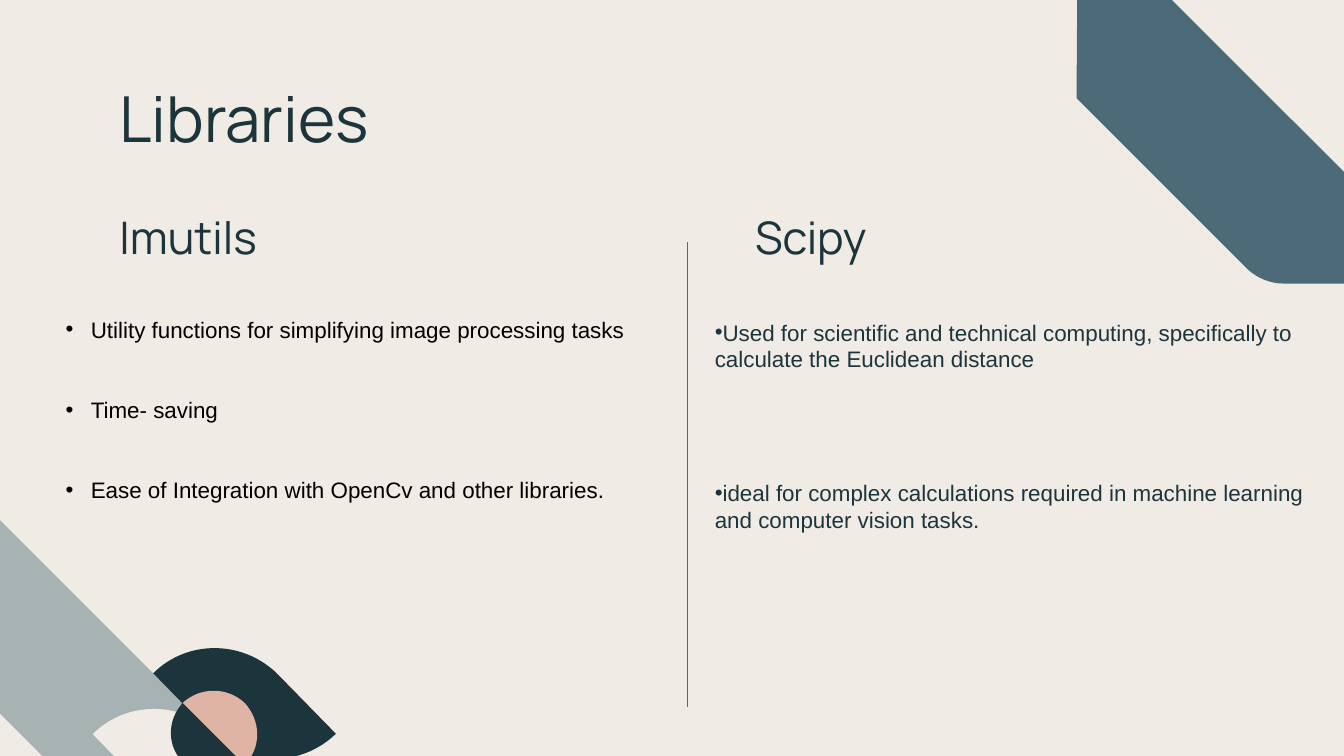
from dataclasses import dataclass

from lxml import etree
from pptx import Presentation
from pptx import util as u
from pptx.dml.color import RGBColor
from pptx.enum import shapes, text
from pptx.oxml.ns import qn

Pt = u.Pt
CREAM, NAVY, SLATE, SAGE, PINK, BLACK = (
    "F0EBE4", "1C343C", "4C6A78", "A7B3B2", "E0B4A4", "000000")

BAND = [(170.64, 449.28), (-0.72, 277.92), (-1.44, 380.88), (90.72, 473.04),
        (95.76, 477.36, 102.24, 480.24, 109.44, 480.24), (170.64, 480.24)]
PETAL = [(82.08, 360.72), (100.08, 342.72, 129.6, 342.72, 148.32, 360.72),
         (180, 393.12), (161.28, 411.12, 131.76, 411.12, 113.76, 393.12)]
LOWER_HALF = [(98.64, 408.96), (108, 418.32, 122.4, 418.32, 131.76, 409.68),
              (97.92, 376.56), (89.28, 385.92, 89.28, 400.32, 98.64, 408.96)]
UPPER_HALF = [(131.04, 376.56), (121.68, 367.92, 107.28, 367.92, 97.92, 376.56),
              (131.04, 409.68), (140.4, 400.32, 139.68, 385.92, 131.04, 376.56)]


@dataclass
class Decoration:
    outline: list
    fill: str
    dx: float = 0
    dy: float = 0


@dataclass
class Heading:
    words: str
    left: float


@dataclass
class BulletList:
    items: list
    box: tuple
    color: str
    indent: float
    gap: float
    anchor: text.MSO_ANCHOR


DECORATIONS = [
    Decoration(BAND, SAGE),
    Decoration(PETAL, NAVY),
    Decoration(PETAL, CREAM, -32.4, 32.6),
    Decoration(LOWER_HALF, NAVY),
    Decoration(UPPER_HALF, PINK),
    Decoration(BAND, SLATE, 578.16, -328.32),
]
HEADINGS = [Heading("Imutils", 56.88), Heading("Scipy", 397.44)]
LISTS = [
    BulletList(["Utility functions for simplifying image processing tasks",
                "Time- saving",
                "Ease of Integration with OpenCv and other libraries."],
               (28.08, 165.6, 340.56, 108.72), BLACK, 13.5, 28.7, text.MSO_ANCHOR.TOP),
    BulletList(["Used for scientific and technical computing, specifically to "
                "calculate the Euclidean distance",
                "ideal for complex calculations required in machine learning "
                "and computer vision tasks."],
               (375.84, 166.32, 332.64, 123.84), NAVY, 0, 57.4, text.MSO_ANCHOR.MIDDLE),
]


def rgb(value: str) -> RGBColor:
    return RGBColor.from_string(value)


def curve_segments(shape, outline: list) -> None:
    segments = iter(shape._element.findall(".//" + qn("a:lnTo")))
    for step in outline[1:]:
        first = next(segments)
        if len(step) == 6:
            first.tag = qn("a:cubicBezTo")
            for segment in (next(segments), next(segments)):
                first.append(segment[0])
                segment.getparent().remove(segment)


def draw_decoration(slide, decoration: Decoration) -> None:
    points = [(Pt(x + decoration.dx), Pt(y + decoration.dy))
              for step in decoration.outline
              for x, y in zip(step[::2], step[1::2])]
    builder = slide.shapes.build_freeform(*points[0], scale=1.0)
    builder.add_line_segments(points[1:], close=True)
    shape = builder.convert_to_shape()
    curve_segments(shape, decoration.outline)
    shape.shadow.inherit = False
    shape.fill.solid()
    shape.fill.fore_color.rgb = rgb(decoration.fill)
    shape.line.fill.background()


def format_paragraph(paragraph, font_name: str, size: float, color: str, spacing: float) -> None:
    paragraph.alignment = text.PP_ALIGN.LEFT
    paragraph.line_spacing = spacing
    for font in [paragraph.font] + [run.font for run in paragraph.runs]:
        font.name, font.size = font_name, Pt(size)
        font.color.rgb = rgb(color)


def place_text(shape, words: str, box: tuple, anchor: text.MSO_ANCHOR):
    shape.left, shape.top, shape.width, shape.height = map(Pt, box)
    frame = shape.text_frame
    frame.word_wrap = True
    frame.auto_size = text.MSO_AUTO_SIZE.NONE
    frame.vertical_anchor = anchor
    frame.text = words
    return frame


def draw_heading(slide, heading: Heading) -> None:
    box = (heading.left, 112.32, 194.4, 35.28)
    shape = slide.shapes.add_textbox(*map(Pt, box))
    frame = place_text(shape, heading.words, box, text.MSO_ANCHOR.TOP)
    format_paragraph(frame.paragraphs[0], "Manrope", 24, NAVY, 0.9)


def add_bullet(paragraph, indent: float) -> None:
    properties = paragraph._p.get_or_add_pPr()
    properties.set("marL", str(Pt(indent)))
    properties.set("indent", str(-Pt(indent)))
    etree.SubElement(properties, qn("a:buFont")).set("typeface", "Arial")
    etree.SubElement(properties, qn("a:buChar")).set("char", "•")


def draw_list(slide, bullets: BulletList) -> None:
    shape = slide.shapes.add_textbox(*map(Pt, bullets.box))
    frame = place_text(shape, "\n".join(bullets.items), bullets.box, bullets.anchor)
    for index, paragraph in enumerate(frame.paragraphs):
        add_bullet(paragraph, bullets.indent)
        format_paragraph(paragraph, "Arial", 12, bullets.color, 1.0)
        if index:
            paragraph.space_before = Pt(bullets.gap)


def draw_divider(slide) -> None:
    line = slide.shapes.add_connector(
        shapes.MSO_CONNECTOR.STRAIGHT, Pt(368.4), Pt(129.6), Pt(368.4), Pt(378.72))
    line.line.color.rgb = rgb(SLATE)
    line.line.width = Pt(0.75)
    etree.SubElement(line._element.spPr, qn("a:effectLst"))


def main() -> None:
    presentation = Presentation()
    presentation.slide_width, presentation.slide_height = Pt(720), Pt(405)
    slide = presentation.slides.add_slide(presentation.slide_layouts[5])
    slide.background.fill.solid()
    slide.background.fill.fore_color.rgb = rgb(CREAM)
    for decoration in DECORATIONS:
        draw_decoration(slide, decoration)
    title = place_text(slide.shapes.title, "Libraries",
                       (56.88, 43.2, 606.24, 50.4), text.MSO_ANCHOR.TOP)
    format_paragraph(title.paragraphs[0], "Manrope", 34, NAVY, 0.9)
    for heading in HEADINGS:
        draw_heading(slide, heading)
    draw_divider(slide)
    for bullets in LISTS:
        draw_list(slide, bullets)
    presentation.save("out.pptx")


if __name__ == "__main__":
    main()
